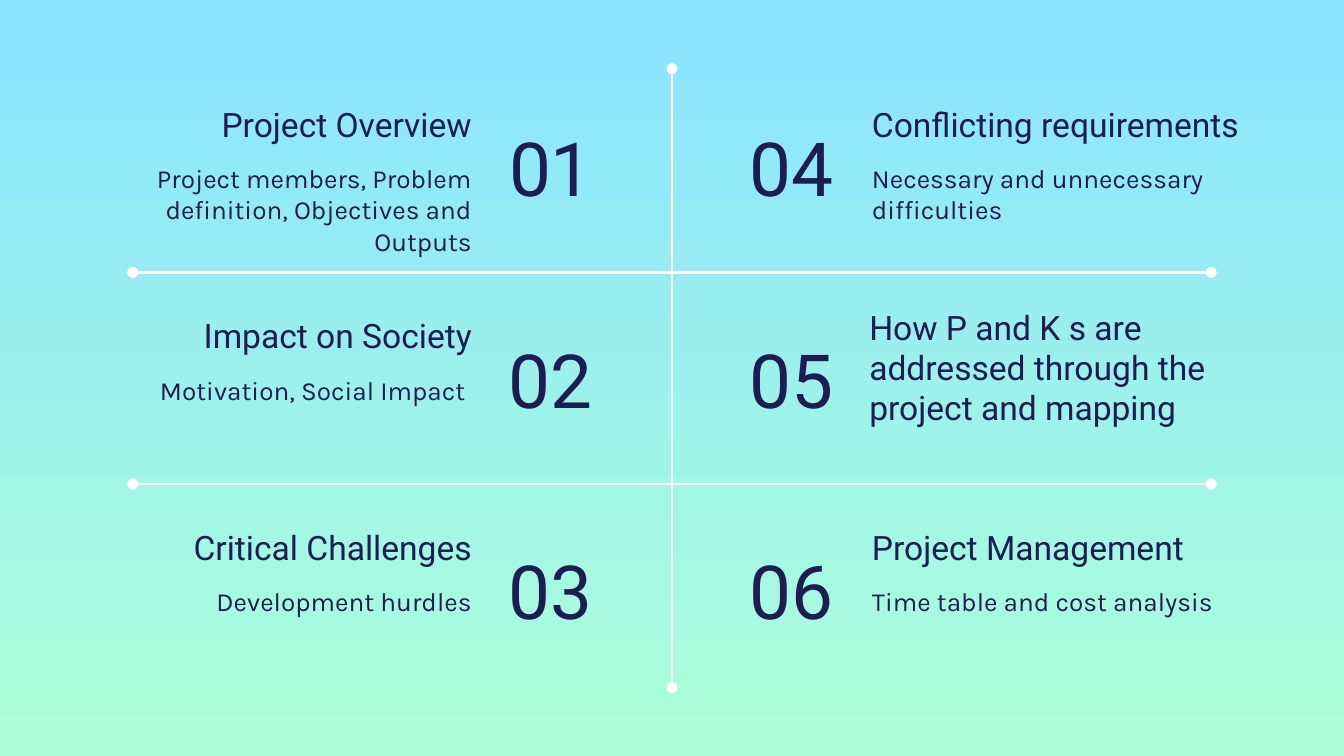
import lxml.etree
import pptx
import pptx.dml.color
import pptx.enum.shapes
import pptx.enum.text
import pptx.oxml.ns
import pptx.util
from pptx.util import Cm

INK = "1F1C51"
WHITE = "FFFFFF"
LEFT = pptx.enum.text.PP_ALIGN.LEFT
RIGHT = pptx.enum.text.PP_ALIGN.RIGHT
TOP = pptx.enum.text.MSO_ANCHOR.TOP
MIDDLE = pptx.enum.text.MSO_ANCHOR.MIDDLE
BOTTOM = pptx.enum.text.MSO_ANCHOR.BOTTOM

ROW_PITCH = 4
TEXT_WIDTH = 7.57
TOPICS = [
    ("Project Overview", "Project members, Problem definition, Objectives and Outputs"),
    ("Impact on Society", "Motivation, Social Impact "),
    ("Critical Challenges", "Development hurdles"),
    ("Conflicting requirements", "Necessary and unnecessary difficulties"),
    ("How P and K s are addressed through the project and mapping", None),
    ("Project Management", "Time table and cost analysis"),
]


def rgb(color):
    return pptx.dml.color.RGBColor.from_string(color)


class Deck:
    def __init__(self, width, height):
        self.prs = pptx.Presentation()
        self.prs.slide_width = Cm(width)
        self.prs.slide_height = Cm(height)
        self.s = self.prs.slides.add_slide(self.prs.slide_layouts[5])

    def background(self, *colors):
        fill = self.s.background.fill
        fill.gradient()
        fill.gradient_angle = 270
        for stop, color in zip(fill.gradient_stops, colors):
            stop.color.rgb = rgb(color)

    def format_text(self, sp, text, font, size, align, anchor):
        tf = sp.text_frame
        tf.word_wrap = True
        tf.auto_size = pptx.enum.text.MSO_AUTO_SIZE.NONE
        tf.vertical_anchor = anchor
        tf.margin_left = tf.margin_right = Cm(0.25)
        tf.margin_top = tf.margin_bottom = Cm(0.25)
        p = tf.paragraphs[0]
        p.text = text
        p.alignment = align
        p.font.name = font
        p.font.size = pptx.util.Pt(size)
        p.font.color.rgb = rgb(INK)

    def title(self, x, y, w, h, *style):
        sp = self.s.shapes.title
        sp.left, sp.top, sp.width, sp.height = Cm(x), Cm(y), Cm(w), Cm(h)
        self.format_text(sp, *style)

    def text(self, x, y, w, h, *style):
        sp = self.s.shapes.add_textbox(Cm(x), Cm(y), Cm(w), Cm(h))
        self.format_text(sp, *style)

    def line(self, x1, y1, x2, y2):
        straight = pptx.enum.shapes.MSO_CONNECTOR.STRAIGHT
        sp = self.s.shapes.add_connector(straight, Cm(x1), Cm(y1), Cm(x2), Cm(y2))
        sp.line.color.rgb = rgb(WHITE)
        sp.line.width = pptx.util.Pt(1.5)
        ln = sp.line._get_or_add_ln()
        for end in ("a:headEnd", "a:tailEnd"):
            lxml.etree.SubElement(ln, pptx.oxml.ns.qn(end), type="oval")
        lxml.etree.SubElement(sp._element.spPr, pptx.oxml.ns.qn("a:effectLst"))


def main():
    deck = Deck(25.4, 14.29)
    deck.background("8BE3FF", "ACFFD9")

    deck.line(12.7, 1.3, 12.7, 13)
    for y in (5.15, 9.15):
        deck.line(2.51, y, 22.89, y)

    for i, (heading, detail) in enumerate(TOPICS):
        column, row = divmod(i, 3)
        y = row * ROW_PITCH
        text_x, number_x = ((1.6, 9.37), (16.23, 12.7))[column]
        text_align, number_align = ((RIGHT, LEFT), (LEFT, RIGHT))[column]

        add_number = deck.title if i == 0 else deck.text
        add_number(number_x, y + 2.06, 3.3, 2.18,
                   f"{i + 1:02}", "Roboto", 40, number_align, MIDDLE)

        heading_x, heading_y = (text_x, y + 1.7) if detail else (text_x - 0.05, y + 3.06)
        deck.text(heading_x, heading_y, TEXT_WIDTH, 1.27,
                  heading, "Roboto", 18, text_align, BOTTOM)
        if detail:
            deck.text(text_x, y + 2.82, TEXT_WIDTH, 1.75,
                      detail, "Karla", 14, text_align, TOP)

    deck.prs.save("out.pptx")


if __name__ == "__main__":
    main()
